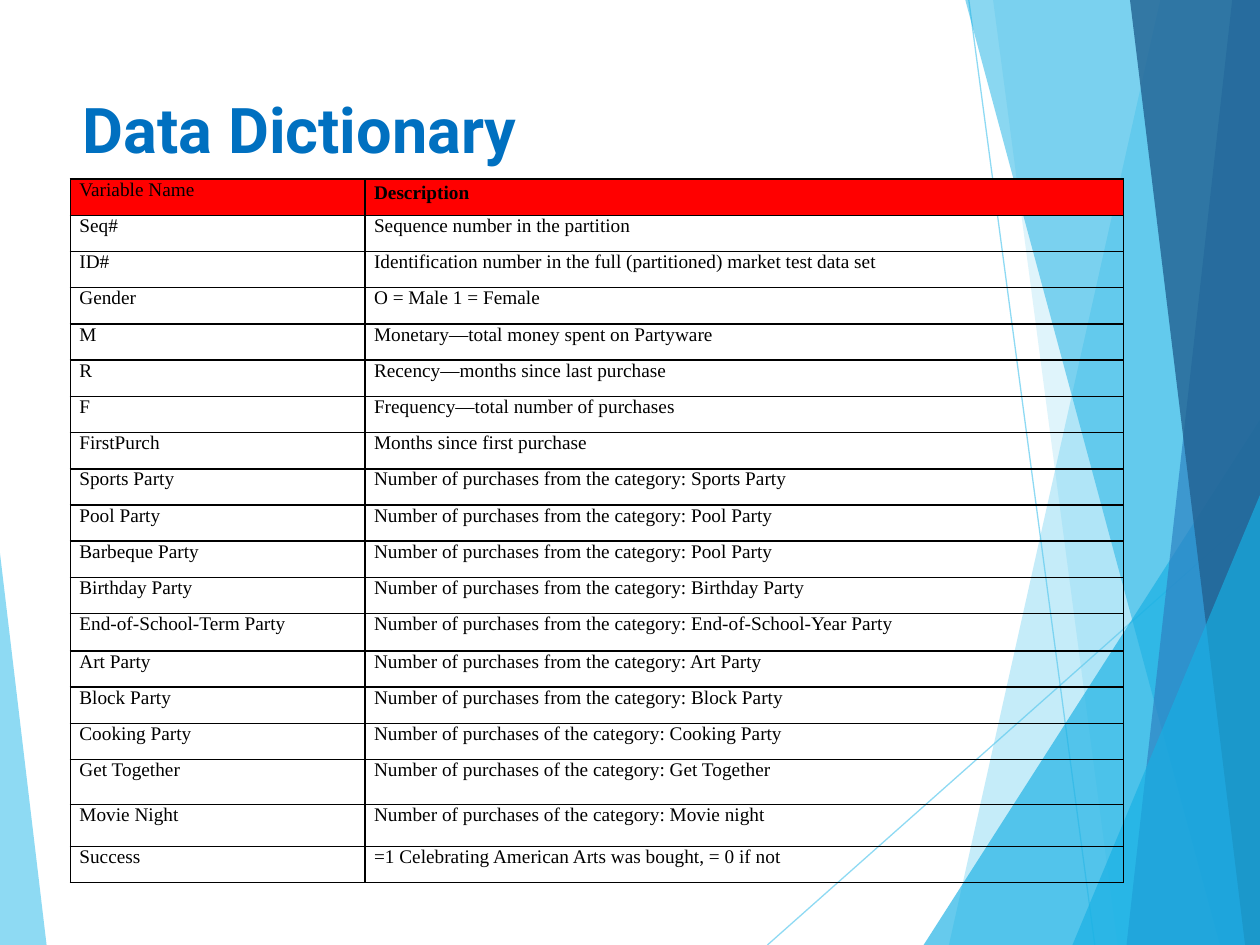
from lxml import etree
from pptx import Presentation
from pptx.dml.color import RGBColor
from pptx.enum.shapes import MSO_CONNECTOR, MSO_SHAPE
from pptx.enum.text import MSO_ANCHOR, PP_ALIGN
from pptx.oxml.ns import qn
from pptx.util import Cm, Pt

STRAIGHT = MSO_CONNECTOR.STRAIGHT
TRIANGLE = MSO_SHAPE.ISOSCELES_TRIANGLE
TOP, LEFT = MSO_ANCHOR.TOP, PP_ALIGN.LEFT
WIDTH, HEIGHT = 25.4, 19.05


def color(value):
    return RGBColor.from_string(value)


def set_values(target, values):
    for name, value in values.items():
        setattr(target, name, value)


def set_opacity(item, percent):
    for tint in item._element.spPr.iter(qn("a:srgbClr")):
        etree.SubElement(tint, qn("a:alpha"), val=str(percent * 1000))


class SlideBuilder:
    sky, cyan, blue, navy = "5FCBEF", "17B0E4", "2E83C3", "226292"
    title_format = {"name": "Roboto", "size": Pt(36), "bold": True}
    cell_format = {"name": "Times New Roman", "size": Pt(11), "bold": False}
    margins = {f"margin_{side}": 0 for side in ("left", "top", "right", "bottom")}

    def __init__(self, slide):
        self.slide = slide

    def line(self, *ends):
        line = self.slide.shapes.add_connector(STRAIGHT, *map(Cm, ends))
        line.line.color.rgb = color(self.sky)
        line.line.width = Pt(0.75)
        set_opacity(line, 70)
        etree.SubElement(line._element.spPr, qn("a:effectLst"))

    def paint(self, shape, fill, opacity):
        shape.shadow.inherit = False
        shape.fill.solid()
        shape.fill.fore_color.rgb = color(fill)
        shape.line.fill.background()
        set_opacity(shape, opacity)

    def band(self, top_x, bottom_x, fill, opacity):
        """Fill the area from a slanted edge to the right side of the slide."""
        outline = self.slide.shapes.build_freeform(Cm(top_x), 0)
        corners = [(WIDTH, 0), (WIDTH, HEIGHT), (bottom_x, HEIGHT)]
        outline.add_line_segments([(Cm(x), Cm(y)) for x, y in corners])
        self.paint(outline.convert_to_shape(), fill, opacity)

    def triangle(self, left, top, width, apex, fill, opacity):
        """Stand a triangle on the bottom edge of the slide."""
        box = map(Cm, (left, top, width, HEIGHT - top))
        shape = self.slide.shapes.add_shape(TRIANGLE, *box)
        shape.adjustments[0] = apex
        self.paint(shape, fill, opacity)

    def add_words(self, paragraph, text, style, text_color):
        paragraph.alignment = LEFT
        run = paragraph.add_run()
        run.text = text
        set_values(run.font, style)
        run.font.color.rgb = color(text_color)

    def title(self, text, *box):
        frame = self.slide.shapes.add_textbox(*map(Cm, box)).text_frame
        set_values(frame, {"word_wrap": True, "vertical_anchor": TOP})
        self.add_words(frame.paragraphs[0], text, self.title_format, "0070C0")

    def border(self, cell):
        properties = cell._tc.get_or_add_tcPr()
        for side in ("lnL", "lnR", "lnT", "lnB"):
            edge = etree.SubElement(properties, qn(f"a:{side}"), w=str(Pt(1)))
            fill = etree.SubElement(edge, qn("a:solidFill"))
            etree.SubElement(fill, qn("a:srgbClr"), val="000000")

    def cell(self, cell, text, header, bold):
        set_values(cell, self.margins)
        self.border(cell)
        if header:
            cell.fill.solid()
            cell.fill.fore_color.rgb = color("FF0000")
        else:
            cell.fill.background()
        paragraph = cell.text_frame.paragraphs[0]
        self.add_words(paragraph, text, {**self.cell_format, "bold": bold}, "000000")
        paragraph._p.get_or_add_pPr().set("marL", str(Cm(0.18)))
        if bold:
            set_values(paragraph, {"line_spacing": Pt(13.8), "space_before": Pt(0.2)})

    def table(self, left, top, widths, heights, rows):
        box = map(Cm, (left, top, sum(widths), sum(heights)))
        table = self.slide.shapes.add_table(len(rows), len(widths), *box).table
        set_values(table, {"first_row": False, "horz_banding": False})
        for column, width in zip(table.columns, widths):
            column.width = Cm(width)
        for r, (height, texts) in enumerate(zip(heights, rows)):
            table.rows[r].height = Cm(height)
            for c, text in enumerate(texts):
                self.cell(table.cell(r, c), text, r == 0, (r, c) == (0, 1))


deck = Presentation()
set_values(deck, {"slide_width": Cm(WIDTH), "slide_height": Cm(HEIGHT)})
page = SlideBuilder(deck.slides.add_slide(deck.slide_layouts[6]))

# Facet background
page.line(19.53, 0, 22.07, HEIGHT)
page.line(WIDTH, 10.24, 15.47, HEIGHT)
page.band(23.39, 19.13, page.sky, 36)
page.band(20.02, 22.53, page.sky, 20)
page.triangle(18.62, 8.46, 6.78, 1, page.cyan, 66)
page.band(19.46, 24.59, page.cyan, 50)
page.band(24.84, 22.71, page.blue, 70)
page.band(22.78, 25.1, page.navy, 80)
page.triangle(21.62, 9.98, 3.78, 1, page.cyan, 66)
page.triangle(0, 11.15, 0.94, 0, page.sky, 70)

# Title
page.title("Data Dictionary", 1.42, 1.7, 17.91, 3.66)

# Variables and their descriptions
FROM = "Number of purchases from the category: "
OF = "Number of purchases of the category: "
variables = [
    ("Variable Name", "Description"),
    ("Seq#", "Sequence number in the partition"),
    ("ID#", "Identification number in the full (partitioned) market test data set"),
    ("Gender", "O = Male 1 = Female"),
    ("M", "Monetary—total money spent on Partyware"),
    ("R", "Recency—months since last purchase"),
    ("F", "Frequency—total number of purchases"),
    ("FirstPurch", "Months since first purchase"),
    ("Sports Party", FROM + "Sports Party"),
    ("Pool Party", FROM + "Pool Party"),
    ("Barbeque Party", FROM + "Pool Party"),
    ("Birthday Party", FROM + "Birthday Party"),
    ("End-of-School-Term Party", FROM + "End-of-School-Year Party"),
    ("Art Party", FROM + "Art Party"),
    ("Block Party", FROM + "Block Party"),
    ("Cooking Party", OF + "Cooking Party"),
    ("Get Together", OF + "Get Together"),
    ("Movie Night", OF + "Movie night"),
    ("Success", "=1 Celebrating American Arts was bought, = 0 if not"),
]
tall_rows = {"End-of-School-Term Party": 0.75, "Get Together": 0.91, "Movie Night": 0.84}
row_heights = [tall_rows.get(name, 0.73) for name, _ in variables]
page.table(1.42, 3.61, [5.94, 15.29], row_heights, variables)

deck.save("out.pptx")
